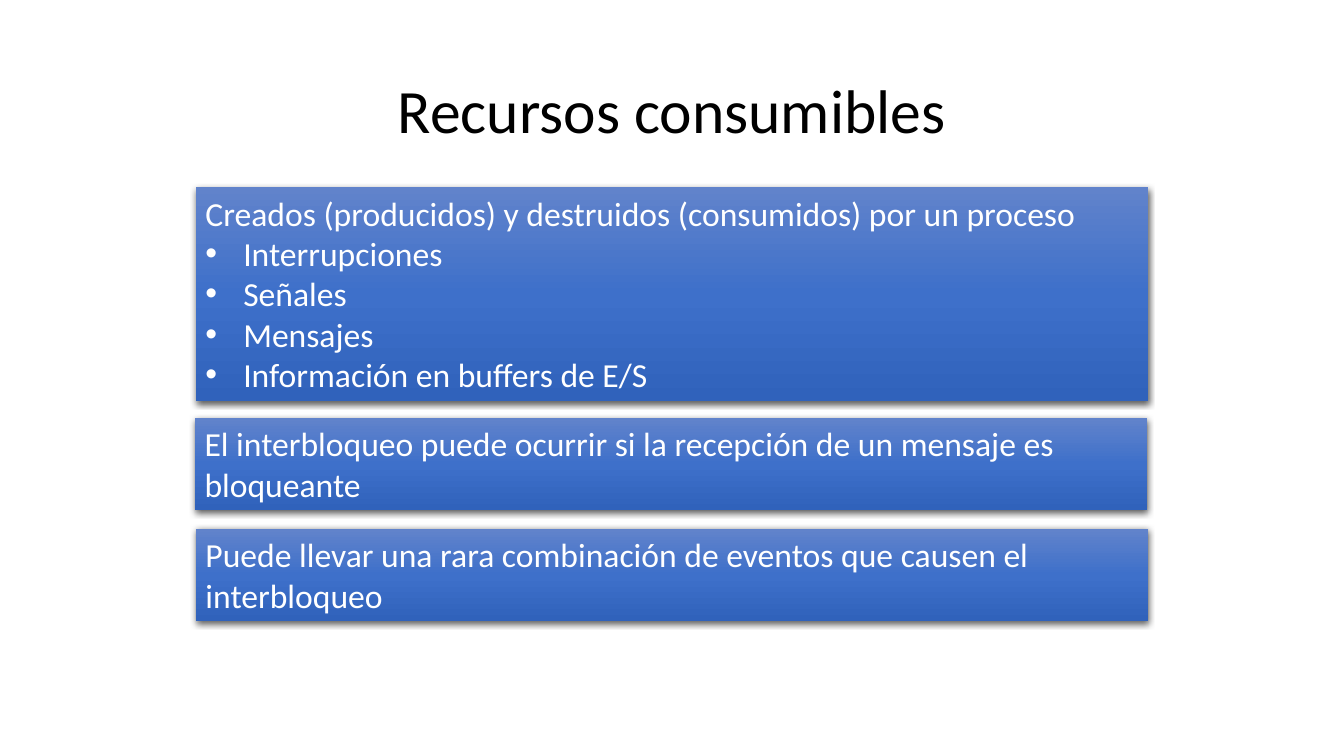
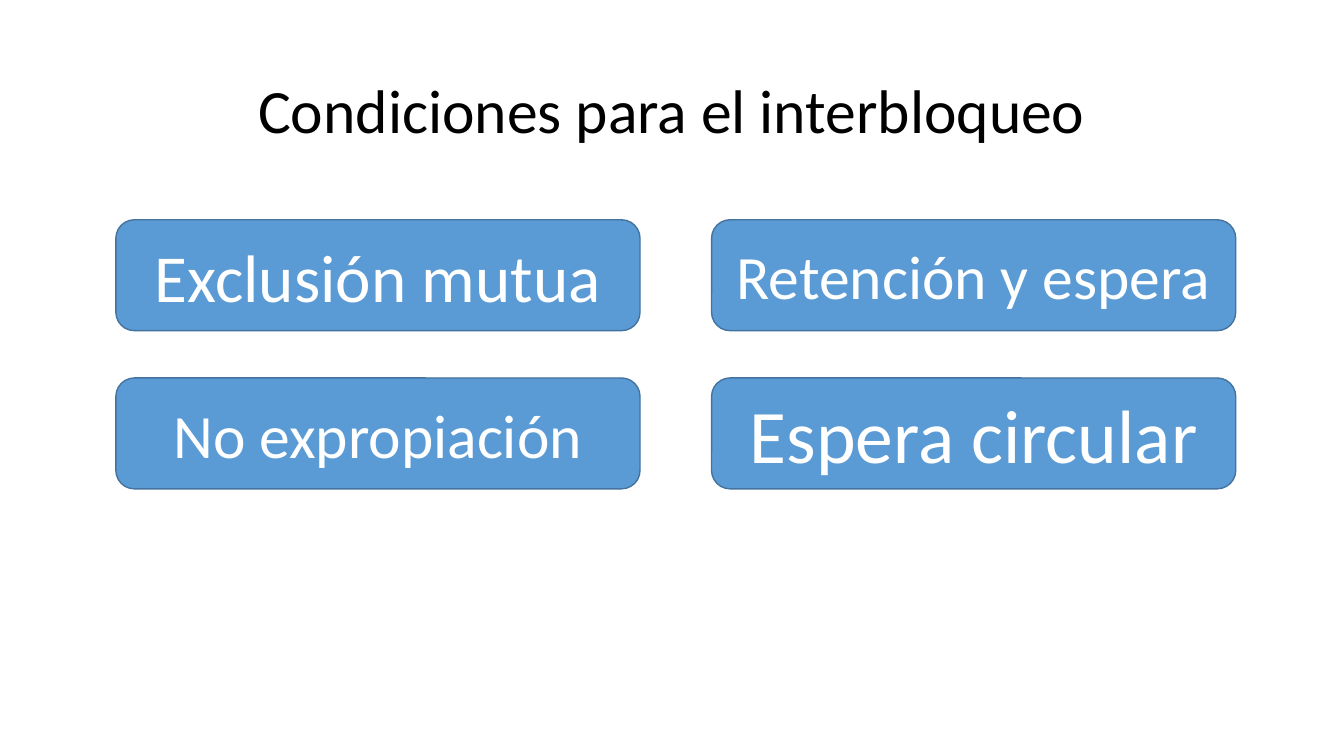
import lxml.etree
import pptx
import pptx.dml.color
import pptx.enum.shapes
import pptx.enum.text
import pptx.oxml.ns
import pptx.util

Pt = pptx.util.Pt
qn = pptx.oxml.ns.qn
ALIGN = pptx.enum.text.PP_ALIGN
ANCHOR = pptx.enum.text.MSO_ANCHOR
FIT = pptx.enum.text.MSO_AUTO_SIZE
SHAPE = pptx.enum.shapes.MSO_SHAPE


def rgb(value):
    return pptx.dml.color.RGBColor.from_string(value)


def add_xml(parent, tag, **attributes):
    return lxml.etree.SubElement(parent, qn(tag), attributes)


class Deck:
    """Builds slides in one shared style."""

    font = "Calibri"
    title_color, text_color = "000000", "FFFFFF"
    card_fill, card_line = "5B9BD5", "43739E"
    panel_stops = ((0, "6183CB"), (50, "3E70CA"), (100, "3062BB"))

    def __init__(self):
        self.file = pptx.Presentation()
        self.file.slide_width, self.file.slide_height = Pt(960), Pt(540)
        self.page = None

    def style(self, para, size, color, align):
        para.alignment = align
        para.font.name = self.font
        para.font.size = Pt(size)
        para.font.color.rgb = rgb(color)

    def add_page(self, title):
        self.page = self.file.slides.add_slide(self.file.slide_layouts[5])
        box = self.page.shapes.title
        box.left, box.top, box.width, box.height = Pt(66), Pt(28.75), Pt(828), Pt(104.4)
        box.text_frame.text = title
        box.text_frame.vertical_anchor = ANCHOR.MIDDLE
        para = box.text_frame.paragraphs[0]
        para.line_spacing = 0.9
        self.style(para, 44, self.title_color, ALIGN.CENTER)

    def add_box(self, kind, left, top, width, height, lines, anchor):
        box = self.page.shapes.add_shape(kind, Pt(left), Pt(top), Pt(width), Pt(height))
        box.shadow.inherit = False
        frame = box.text_frame
        frame.word_wrap = True
        frame.vertical_anchor = anchor
        frame.text = "\n".join(lines)
        return box

    def add_bullet(self, para):
        properties = para._p.get_or_add_pPr()
        properties.set("marL", str(Pt(27)))
        properties.set("indent", str(-Pt(27)))
        add_xml(properties, "a:buFont", typeface="Arial")
        add_xml(properties, "a:buChar", char="•")

    def add_panel(self, left, top, height, heading, bullets=()):
        box = self.add_box(SHAPE.RECTANGLE, left, top, 680.4, height,
                           [heading, *bullets], ANCHOR.TOP)
        box.text_frame.auto_size = FIT.SHAPE_TO_FIT_TEXT
        box.line.fill.background()
        self.shade(box)
        self.cast_shadow(box)
        for para in box.text_frame.paragraphs[1:]:
            self.add_bullet(para)
        for para in box.text_frame.paragraphs:
            self.style(para, 24, self.text_color, ALIGN.LEFT)

    def shade(self, box):
        box.fill.gradient()
        box.fill.gradient_angle = 270
        stops = box._element.spPr.find(".//" + qn("a:gsLst"))
        for stop in list(stops):
            stops.remove(stop)
        for percent, color in self.panel_stops:
            stop = add_xml(stops, "a:gs", pos=str(percent * 1000))
            add_xml(stop, "a:srgbClr", val=color)

    def cast_shadow(self, box):
        effects = box._element.spPr.find(qn("a:effectLst"))
        shadow = add_xml(effects, "a:outerShdw", blurRad=str(Pt(4.5)), dist=str(Pt(1.5)),
                         dir="5400000", algn="ctr", rotWithShape="0")
        color = add_xml(shadow, "a:srgbClr", val="000000")
        add_xml(color, "a:alpha", val="63000")

    def add_card(self, left, top, label, size):
        box = self.add_box(SHAPE.ROUNDED_RECTANGLE, left, top, 374.4, 79.2,
                           [label], ANCHOR.MIDDLE)
        box.fill.solid()
        box.fill.fore_color.rgb = rgb(self.card_fill)
        box.line.color.rgb = rgb(self.card_line)
        box.line.width = Pt(1)
        self.style(box.text_frame.paragraphs[0], size, self.text_color, ALIGN.CENTER)


deck = Deck()

deck.add_page("Recursos consumibles")
deck.add_panel(139.7, 133.9, 152.6,
               "Creados (producidos) y destruidos (consumidos) por un proceso",
               ["Interrupciones", "Señales", "Mensajes", "Información en buffers de E/S"])
deck.add_panel(139, 298.8, 65.5,
               "El interbloqueo puede ocurrir si la recepción de un mensaje es bloqueante")
deck.add_panel(139.7, 378, 65.5,
               "Puede llevar una rara combinación de eventos que causen el interbloqueo")

deck.add_page("Condiciones para el interbloqueo")
conditions = [("Exclusión mutua", 48), ("Retención y espera", 44),
              ("No expropiación", 44), ("Espera circular", 54)]
for index, (label, size) in enumerate(conditions):
    row, column = divmod(index, 2)
    deck.add_card(82.8 + column * 425.5, 157 + row * 113, label, size)

deck.file.save("out.pptx")
